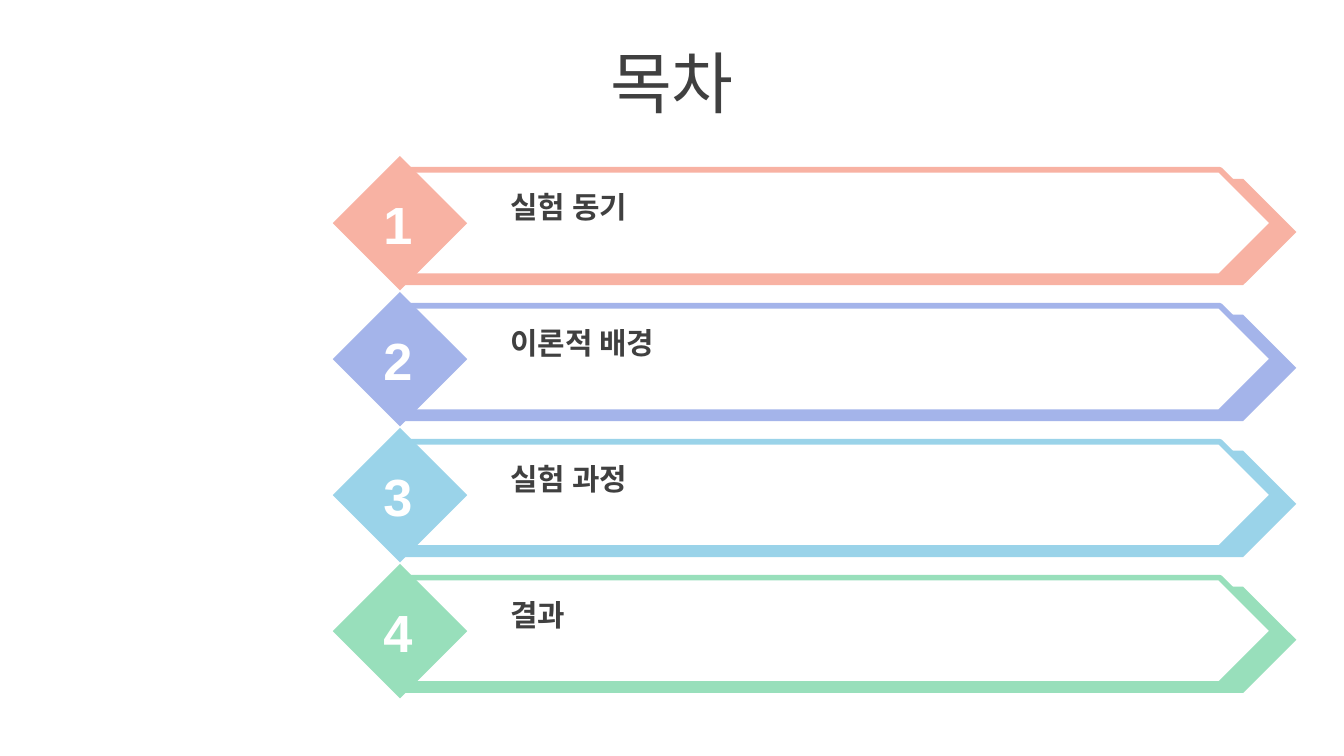
from typing import NamedTuple

from pptx import Presentation
from pptx import util as u
from pptx.dml.color import RGBColor
from pptx.enum import shapes, text

COLORS = {
    "white": "FFFFFF",
    "ink": "404040",
    "coral": "F8B2A3",
    "periwinkle": "A4B4EA",
    "sky": "9AD3E9",
    "mint": "98DFBB",
}
FONT = "Arial"
ROW_PITCH = 2.57


class Box(NamedTuple):
    x: float
    y: float
    w: float
    h: float

    def row(self, index: int) -> "Box":
        return self._replace(y=self.y + index * ROW_PITCH)

    def lengths(self) -> list[u.Length]:
        return [u.Cm(v) for v in self]


class Item(NamedTuple):
    label: str
    color: str


TITLE = Box(0, 0.74, 25.4, 1.6)
BACK_ARROW = Box(7.63, 3.38, 16.87, 2.01)
FRONT_ARROW = Box(7.63, 3.21, 16.43, 2.01)
DIAMOND = Box(6.29, 2.95, 2.54, 2.54)
NUMBER = Box(6.96, 3.51, 1.12, 1.45)
LABEL = Box(9.4, 3.45, 13.21, 0.94)

ITEMS = [
    Item("실험 동기", "coral"),
    Item("이론적 배경", "periwinkle"),
    Item("실험 과정", "sky"),
    Item("결과", "mint"),
]


def rgb(name: str) -> RGBColor:
    return RGBColor.from_string(COLORS[name])


def add_run(p, words: str, size: int, color: str, bold: bool) -> None:
    r = p.add_run()
    r.text = words
    r.font.name = FONT
    r.font.size = u.Pt(size)
    r.font.bold = bold
    r.font.color.rgb = rgb(color)


def add_shape(s, kind, box: Box, fill: str, line: str | None = None) -> None:
    sp = s.shapes.add_shape(kind, *box.lengths())
    sp.shadow.inherit = False
    sp.fill.solid()
    sp.fill.fore_color.rgb = rgb(fill)
    if line:
        sp.line.color.rgb = rgb(line)
        sp.line.width = u.Pt(3)
    else:
        sp.line.fill.background()


def add_text(s, box: Box, words: str, size: int, color: str, align, anchor) -> None:
    tf = s.shapes.add_textbox(*box.lengths()).text_frame
    tf.word_wrap = True
    tf.auto_size = text.MSO_AUTO_SIZE.SHAPE_TO_FIT_TEXT
    tf.vertical_anchor = anchor
    p = tf.paragraphs[0]
    p.alignment = align
    add_run(p, words, size, color, True)


def add_title(s, words: str) -> None:
    sp = s.shapes.title
    sp.left, sp.top, sp.width, sp.height = TITLE.lengths()
    tf = sp.text_frame
    tf.auto_size = text.MSO_AUTO_SIZE.NONE
    tf.vertical_anchor = text.MSO_ANCHOR.MIDDLE
    p = tf.paragraphs[0]
    p.alignment = text.PP_ALIGN.CENTER
    add_run(p, words, 36, "ink", False)


def add_item(s, index: int, item: Item) -> None:
    pentagon = shapes.MSO_SHAPE.PENTAGON
    add_shape(s, pentagon, BACK_ARROW.row(index), item.color)
    add_shape(s, pentagon, FRONT_ARROW.row(index), "white", item.color)
    add_shape(s, shapes.MSO_SHAPE.DIAMOND, DIAMOND.row(index), item.color)
    add_text(s, NUMBER.row(index), str(index + 1), 28, "white",
             text.PP_ALIGN.CENTER, text.MSO_ANCHOR.MIDDLE)
    add_text(s, LABEL.row(index), item.label, 16, "ink",
             text.PP_ALIGN.LEFT, text.MSO_ANCHOR.TOP)


def main() -> None:
    prs = Presentation()
    prs.slide_width, prs.slide_height = u.Cm(25.4), u.Cm(14.29)
    s = prs.slides.add_slide(prs.slide_layouts[5])
    add_title(s, "목차")
    for index, item in enumerate(ITEMS):
        add_item(s, index, item)
    prs.save("out.pptx")


if __name__ == "__main__":
    main()
